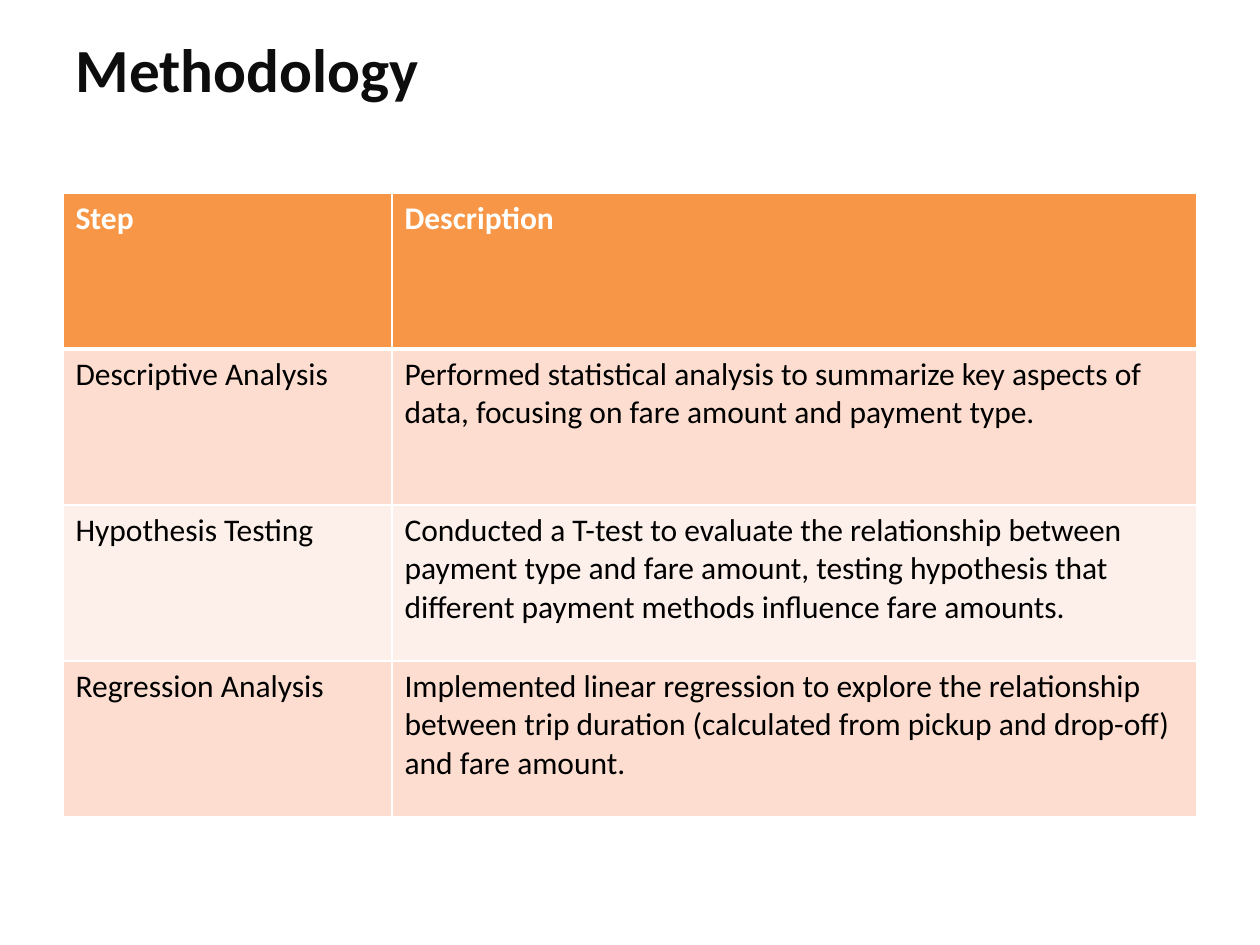
"""Build the Methodology slide: a title above a table of analysis steps."""
from lxml.etree import SubElement
from pptx import Presentation
from pptx.dml.color import RGBColor
from pptx.enum.text import MSO_ANCHOR, PP_ALIGN
from pptx.oxml.ns import qn
from pptx.util import Emu, Pt

COLORS = {
    "title": "0D0D0D",
    "header": "F79646",
    "odd": "FCDDCF",
    "even": "FDEFE9",
    "white": "FFFFFF",
    "text": "000000",
}
ROWS = [
    ("Step", "Description"),
    ("Descriptive Analysis",
     "Performed statistical analysis to summarize key aspects of data, "
     "focusing on fare amount and payment type."),
    ("Hypothesis Testing",
     "Conducted a T-test to evaluate the relationship between payment type "
     "and fare amount, testing hypothesis that different payment methods "
     "influence fare amounts."),
    ("Regression Analysis",
     "Implemented linear regression to explore the relationship between trip "
     "duration (calculated from pickup and drop-off) and fare amount."),
]
COL_WIDTHS = [329, 805]
ROW_HEIGHT = 156


def px(n):
    return Emu(round(n * 914400 / 126))


def add_text(p, text, size, color, bold):
    r = p.add_run()
    r.text = text
    r.font.name = "Calibri"
    r.font.size = Pt(size)
    r.font.bold = bold
    r.font.color.rgb = RGBColor.from_string(COLORS[color])


prs = Presentation()
prs.slide_width, prs.slide_height = px(1260), px(945)
s = prs.slides.add_slide(prs.slide_layouts[5])

title = s.shapes.title
title.left, title.top, title.width, title.height = px(63), px(13), px(1134), px(110)
tf = title.text_frame
tf.vertical_anchor = MSO_ANCHOR.MIDDLE
p = tf.paragraphs[0]
p.alignment = PP_ALIGN.LEFT
add_text(p, "Methodology", 35, "title", True)

table = s.shapes.add_table(
    len(ROWS), len(COL_WIDTHS), px(63), px(193),
    px(sum(COL_WIDTHS)), px(ROW_HEIGHT * len(ROWS))).table
for col, width in zip(table.columns, COL_WIDTHS):
    col.width = px(width)

for i, row in enumerate(ROWS):
    table.rows[i].height = px(ROW_HEIGHT)
    is_header = i == 0
    fill = "header" if is_header else "odd" if i % 2 else "even"
    for j, text in enumerate(row):
        cell = table.cell(i, j)
        add_text(cell.text_frame.paragraphs[0], text, 18,
                 "white" if is_header else "text", is_header)
        tcPr = cell._tc.get_or_add_tcPr()
        for side in "LRTB":
            thick = (i, side) in [(0, "B"), (1, "T")]
            ln = SubElement(tcPr, qn(f"a:ln{side}"), w=str(Pt(3 if thick else 1)))
            line_fill = SubElement(ln, qn("a:solidFill"))
            SubElement(line_fill, qn("a:srgbClr"), val=COLORS["white"])
        cell.fill.solid()
        cell.fill.fore_color.rgb = RGBColor.from_string(COLORS[fill])

prs.save("out.pptx")
